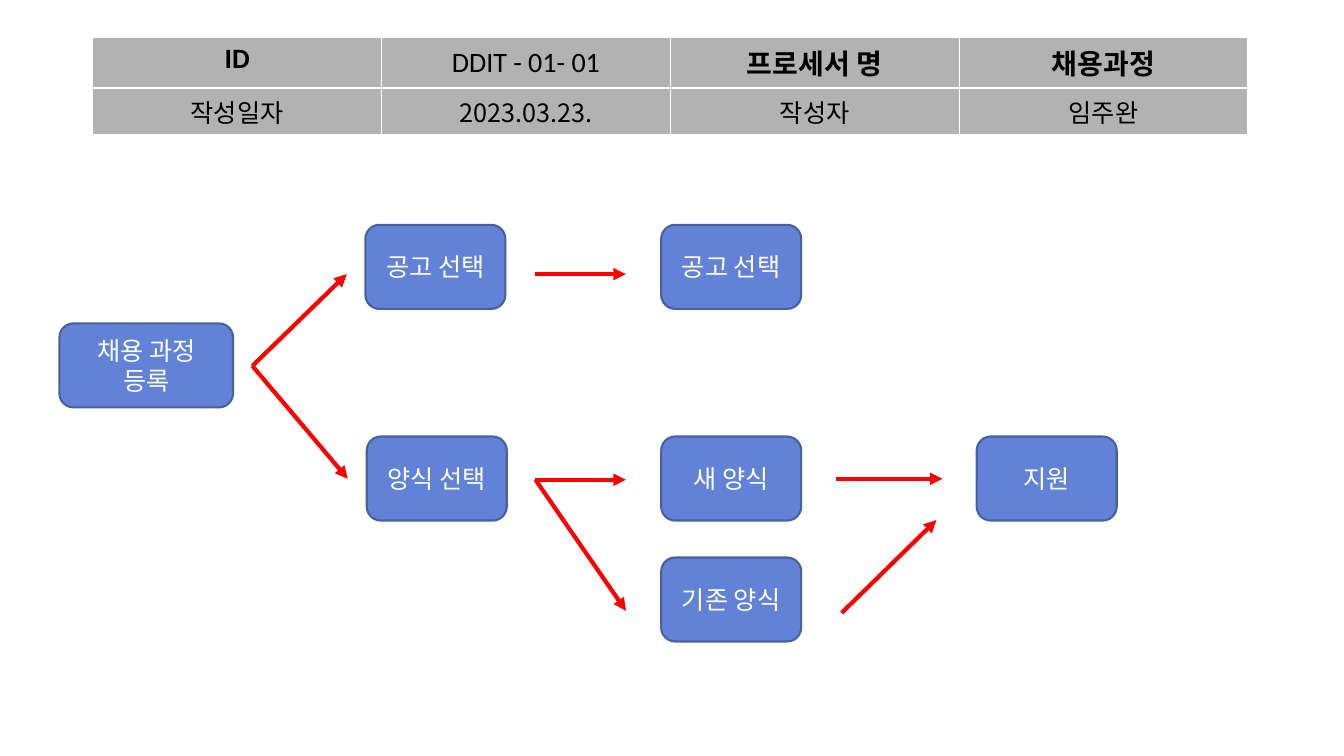
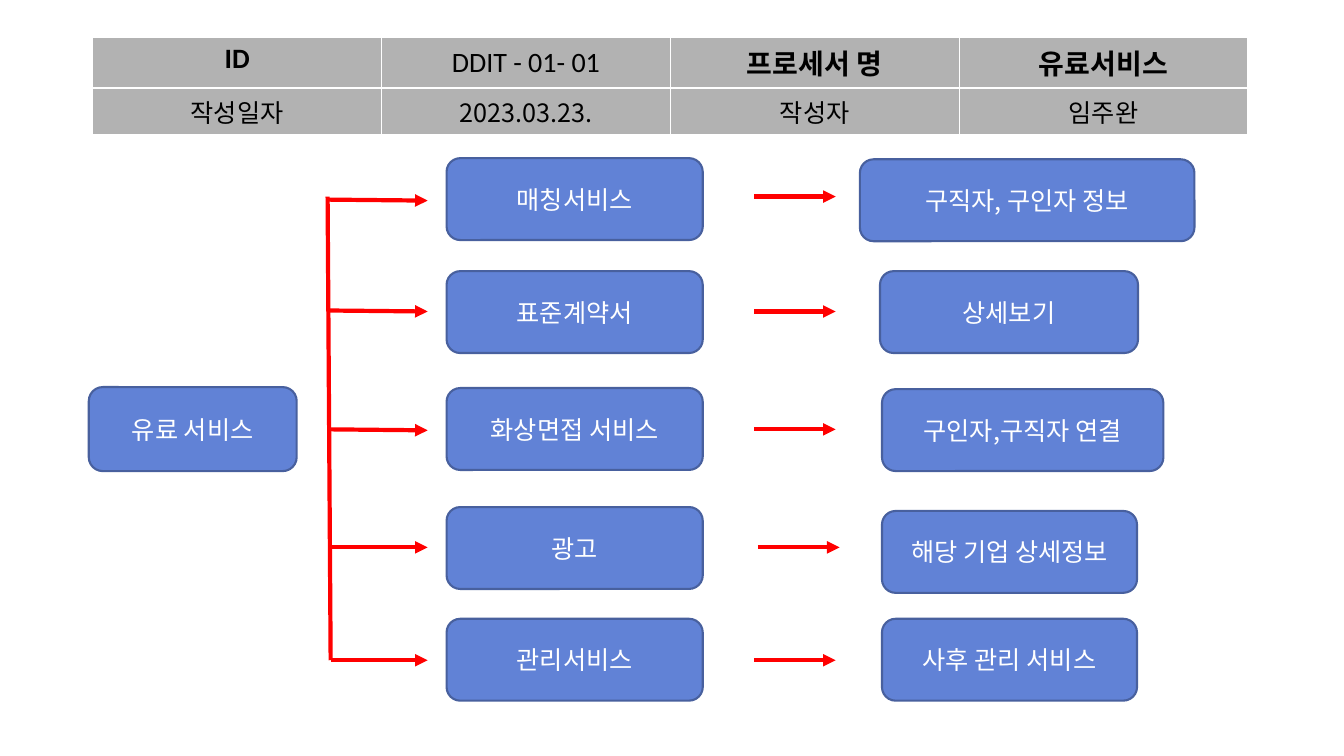
from lxml import etree
from pptx import Presentation
from pptx.dml.color import RGBColor
from pptx.enum import shapes, text
from pptx.oxml import ns
from pptx.util import Pt

BOX_FILL = RGBColor(0x61, 0x82, 0xD6)
BOX_LINE = RGBColor(0x48, 0x60, 0x9E)
ARROW_RED = RGBColor(0xFF, 0x00, 0x00)
HEADER_GREY = RGBColor(0xB2, 0xB2, 0xB2)
WHITE = RGBColor(0xFF, 0xFF, 0xFF)
BLACK = RGBColor(0x00, 0x00, 0x00)

KOREAN_FONT = "Noto Sans CJK KR"
LATIN_FONT = "Calibri"

HEADER_LEFT, HEADER_TOP, COLUMN_WIDTH = 66.25, 26.6, 206.3
HEADER_ROW_HEIGHTS = (31, 29.5)


def add_run(paragraph, wording, size, color, latin=KOREAN_FONT, bold=False):
    paragraph.alignment = text.PP_ALIGN.CENTER
    run = paragraph.add_run()
    run.text = wording
    font = run.font
    font.size, font.bold, font.name = Pt(size), bold, latin
    font.color.rgb = color
    east_asian = etree.SubElement(run._r.get_or_add_rPr(), ns.qn("a:ea"))
    east_asian.set("typeface", KOREAN_FONT)


def set_borders(cell):
    """Draw a thin white line on all four sides of a table cell."""
    properties = cell._tc.get_or_add_tcPr()
    for position, side in enumerate(("lnL", "lnR", "lnT", "lnB")):
        border = etree.Element(ns.qn(f"a:{side}"), w=str(Pt(1)))
        fill = etree.SubElement(border, ns.qn("a:solidFill"))
        etree.SubElement(fill, ns.qn("a:srgbClr"), val=str(WHITE))
        properties.insert(position, border)


def add_header(slide, process_name):
    rows = (
        (("ID", True), ("DDIT - 01- 01", False),
         ("프로세서 명", True), (process_name, True)),
        (("작성일자", False), ("2023.03.23.", False),
         ("작성자", False), ("임주완", False)),
    )
    fonts = ((LATIN_FONT, 20), (KOREAN_FONT, 18))
    table = slide.shapes.add_table(
        2, 4, Pt(HEADER_LEFT), Pt(HEADER_TOP),
        Pt(4 * COLUMN_WIDTH), Pt(sum(HEADER_ROW_HEIGHTS))).table
    for column in table.columns:
        column.width = Pt(COLUMN_WIDTH)
    for r, (entries, (font, size)) in enumerate(zip(rows, fonts)):
        table.rows[r].height = Pt(HEADER_ROW_HEIGHTS[r])
        for c, (wording, bold) in enumerate(entries):
            cell = table.cell(r, c)
            cell.fill.solid()
            cell.fill.fore_color.rgb = HEADER_GREY
            set_borders(cell)
            add_run(cell.text_frame.paragraphs[0], wording, size, BLACK,
                    font, bold)
    process_id = table.cell(0, 1)
    process_id.vertical_anchor = text.MSO_ANCHOR.MIDDLE
    process_id.margin_left = process_id.margin_right = 0
    process_id.margin_top = process_id.margin_bottom = 0


def add_step(slide, left, top, width, height, *lines):
    """Add a rounded box with one centred paragraph per line."""
    step = slide.shapes.add_shape(
        shapes.MSO_SHAPE.ROUNDED_RECTANGLE,
        Pt(left), Pt(top), Pt(width), Pt(height))
    step.shadow.inherit = False
    step.fill.solid()
    step.fill.fore_color.rgb = BOX_FILL
    step.line.color.rgb = BOX_LINE
    step.line.width = Pt(1.5)
    frame = step.text_frame
    frame.word_wrap = True
    frame.vertical_anchor = text.MSO_ANCHOR.MIDDLE
    for i, wording in enumerate(lines):
        paragraph = frame.add_paragraph() if i else frame.paragraphs[0]
        add_run(paragraph, wording, 18, WHITE)


def add_flow_line(slide, start, end, arrow=True):
    connector = slide.shapes.add_connector(
        shapes.MSO_CONNECTOR.STRAIGHT, *(Pt(v) for v in (*start, *end)))
    connector.line.color.rgb = ARROW_RED
    connector.line.width = Pt(3)
    if arrow:
        etree.SubElement(connector.line._get_or_add_ln(),
                         ns.qn("a:tailEnd"), type="triangle")
    etree.SubElement(connector._element.spPr, ns.qn("a:effectLst"))


def add_process_slide(deck, process_name):
    slide = deck.slides.add_slide(deck.slide_layouts[6])
    add_header(slide, process_name)
    return slide


def build_recruitment(deck):
    slide = add_process_slide(deck, "채용과정")
    notice_top, form_top, old_form_top = 160.6, 311.8, 398.2
    choice_left, detail_left, apply_left = 261, 472.3, 697.7
    step_width, step_height = 100, 60

    add_step(slide, 42.5, 231, 124, step_height, "채용 과정", "등록")
    for left, top, wording in (
            (choice_left, notice_top, "공고 선택"),
            (choice_left + 1, form_top, "양식 선택"),
            (detail_left, notice_top, "공고 선택"),
            (detail_left, form_top, "새 양식"),
            (detail_left, old_form_top, "기존 양식"),
            (apply_left, form_top, "지원")):
        add_step(slide, left, top, step_width, step_height, wording)

    root_exit, form_exit = (180.3, 261.4), (382.5, 342.7)
    for start, end in (
            (root_exit, (247.7, 195.8)),
            (root_exit, (248.4, 342)),
            ((382.5, 195.8), (447.1, 195.8)),
            (form_exit, (447.1, 342.7)),
            (form_exit, (447.1, 436.3)),
            ((597, 342), (673.2, 342)),
            ((601.2, 437.8), (668.9, 371.5))):
        add_flow_line(slide, start, end)


def build_paid_services(deck):
    slide = add_process_slide(deck, "유료서비스")
    trunk_top, trunk_bottom = (234, 140.4), (236.2, 471.6)
    lean = (trunk_bottom[0] - trunk_top[0]) / (trunk_bottom[1] - trunk_top[1])
    service_height, arrow_length = 58.5, 58.3

    add_step(slide, 63.4, 276.5, 148.5, 60, "유료 서비스")
    add_flow_line(slide, trunk_top, trunk_bottom, arrow=False)

    # service, top, branch start and end y,
    # result, its left, top and width, arrow x and y
    rows = (
        ("매칭서비스", 113, 142.6, 143.3,
         "구직자, 구인자 정보", 614.2, 113.8, 239, 538.6, 140.4),
        ("표준계약서", 193.7, 221.8, 222.5,
         "상세보기", 628.6, 193.7, 184.3, 538.6, 222.5),
        ("화상면접 서비스", 277.2, 306.7, 307.4,
         "구인자,구직자 연결", 630, 278, 201, 538.6, 306.7),
        ("광고", 362.2, 391, 391,
         "해당 기업 상세정보", 630, 365, 182.2, 541.4, 391),
        ("관리서비스", 442, 471.6, 471.6,
         "사후 관리 서비스", 630, 442, 182.2, 538.6, 471.6),
    )
    for (service, service_top, branch_y, branch_end_y, result, result_left,
         result_top, result_width, arrow_x, arrow_y) in rows:
        branch_x = trunk_top[0] + lean * (branch_y - trunk_top[1])
        add_flow_line(slide, (branch_x, branch_y), (305.5, branch_end_y))
        add_step(slide, 319, service_top, 183, service_height, service)
        add_flow_line(slide, (arrow_x, arrow_y),
                      (arrow_x + arrow_length, arrow_y))
        add_step(slide, result_left, result_top, result_width,
                 service_height, result)


def main():
    deck = Presentation()
    deck.slide_width, deck.slide_height = Pt(960), Pt(540)
    build_recruitment(deck)
    build_paid_services(deck)
    deck.save("out.pptx")


if __name__ == "__main__":
    main()
